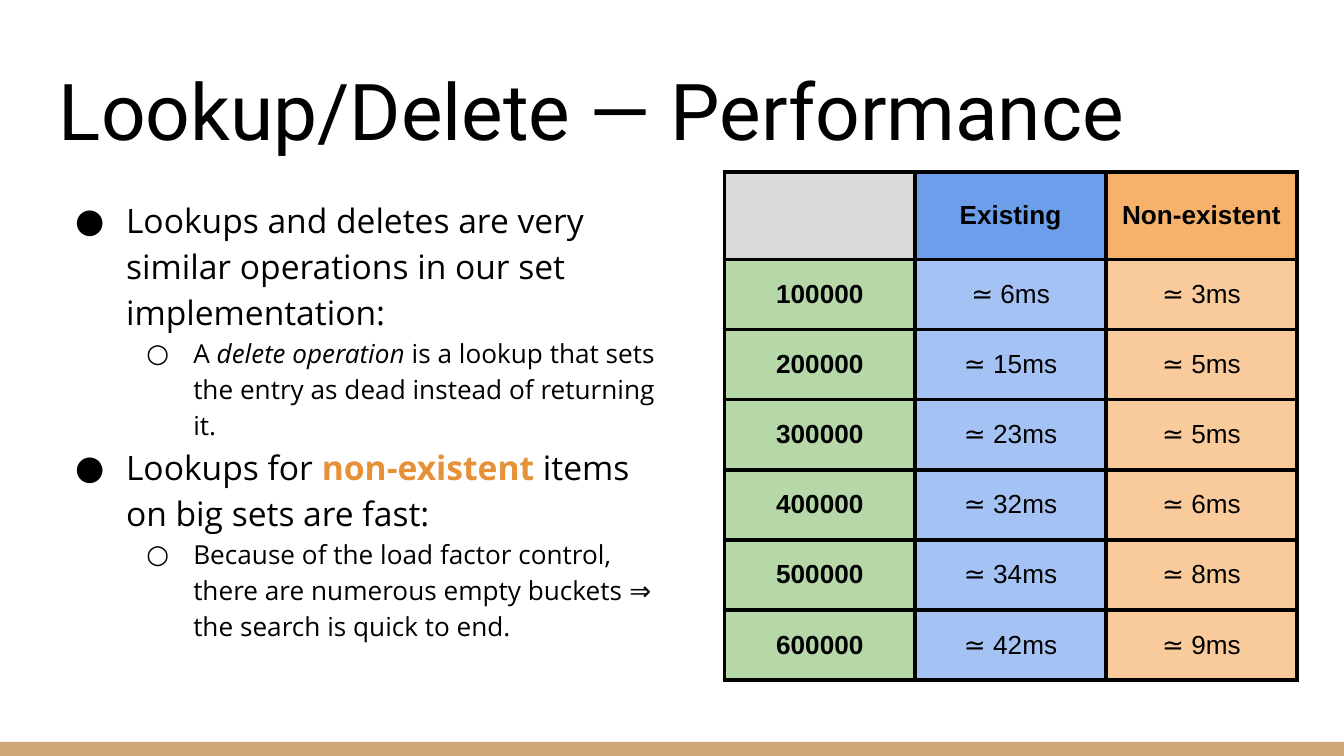
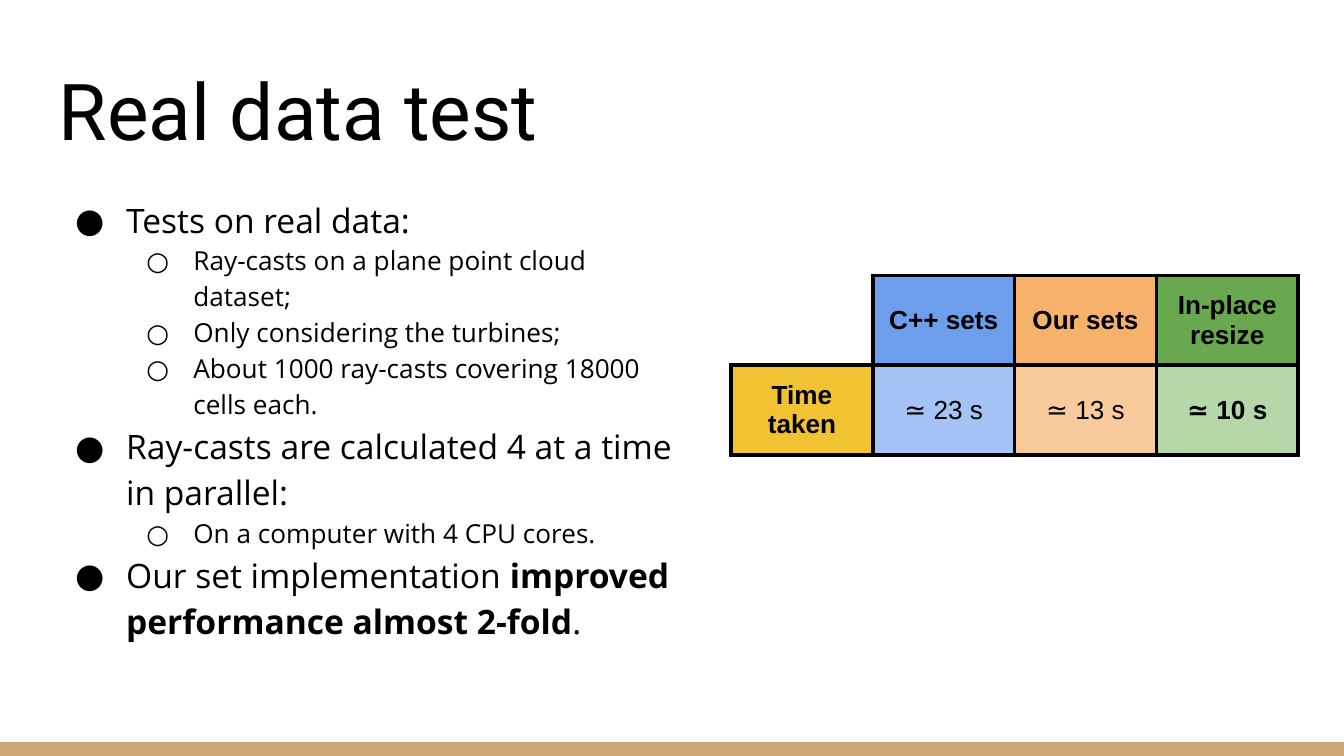
from lxml.etree import SubElement
from pptx import Presentation
from pptx.dml.color import RGBColor
from pptx.enum.shapes import MSO_SHAPE
from pptx.enum.text import MSO_ANCHOR, PP_ALIGN
from pptx.oxml.ns import qn
from pptx.util import Inches, Pt

COLORS = {
    "ink": "000000", "paper": "FFFFFF", "band": "CCA677", "accent": "E69138",
    "gray": "D9D9D9", "blue": "6D9EEB", "orange": "F6B26B", "green": "6AA84F",
    "yellow": "F1C232", "pale_blue": "A4C2F4", "pale_orange": "F9CB9C",
    "pale_green": "B6D7A8",
}
COLS, ROWS = 100, 56.25
LEVELS = [("●", 18, 0.5, -0.38), ("○", 14, 1, -0.35)]


def rgb(name):
    return RGBColor.from_string(COLORS[name])


def write(p, text, size=14, font="Arial", color="ink", bold=False, italic=False):
    r = p.add_run()
    r.text = text
    r.font.size = Pt(size)
    r.font.name = font
    r.font.color.rgb = rgb(color)
    r.font.bold = bold
    r.font.italic = italic


class Deck:
    def __init__(self):
        self.prs = Presentation()
        self.prs.slide_width = Inches(10)
        self.prs.slide_height = Inches(5.625)
        self.cell_w = self.prs.slide_width / COLS
        self.cell_h = self.prs.slide_height / ROWS

    def place(self, x, y, w, h):
        return (round(x * self.cell_w), round(y * self.cell_h),
                round(w * self.cell_w), round(h * self.cell_h))

    def slide(self, title):
        self.s = self.prs.slides.add_slide(self.prs.slide_layouts[6])
        self.s.background.fill.solid()
        self.s.background.fill.fore_color.rgb = rgb("paper")
        self.band()
        tf = self.text_box(3.4, 3.5, 93.2, 9.1, MSO_ANCHOR.BOTTOM)
        write(tf.paragraphs[0], title, size=42, font="Roboto")

    def band(self):
        sp = self.s.shapes.add_shape(MSO_SHAPE.RECTANGLE,
                                     *self.place(0, ROWS - 1.05, COLS, 1.05))
        sp.shadow.inherit = False
        sp.fill.solid()
        sp.fill.fore_color.rgb = rgb("band")
        sp.line.fill.background()

    def text_box(self, x, y, w, h, anchor=MSO_ANCHOR.TOP):
        tf = self.s.shapes.add_textbox(*self.place(x, y, w, h)).text_frame
        tf.word_wrap = True
        tf.vertical_anchor = anchor
        tf.margin_left = tf.margin_right = Inches(0.1)
        tf.margin_top = tf.margin_bottom = Inches(0.1)
        return tf

    def bullets(self, width, items):
        tf = self.text_box(3.4, 13.4, width, 36.7)
        for i, (level, *runs) in enumerate(items):
            p = tf.add_paragraph() if i else tf.paragraphs[0]
            char, size, margin, indent = LEVELS[level]
            p.level = level
            p.line_spacing = 1.15
            pPr = p._p.get_or_add_pPr()
            pPr.set("marL", str(Inches(margin)))
            pPr.set("indent", str(Inches(indent)))
            clr = SubElement(pPr, qn("a:buClr"))
            SubElement(clr, qn("a:srgbClr"), val=COLORS["ink"])
            SubElement(pPr, qn("a:buFont"), typeface="Open Sans")
            SubElement(pPr, qn("a:buChar"), char=char)
            for run in runs:
                text, fmt = (run, {}) if isinstance(run, str) else run
                write(p, text, size=size, font="Open Sans", **fmt)

    def border(self, cell, hidden=""):
        tcPr = cell._tc.get_or_add_tcPr()
        for side in "LRTB":
            ln = SubElement(tcPr, qn(f"a:ln{side}"), w=str(Pt(2.25)))
            fill = SubElement(ln, qn("a:solidFill"))
            color = "paper" if side in hidden else "ink"
            SubElement(fill, qn("a:srgbClr"), val=COLORS[color])

    def table(self, x, y, col_w, heights, rows, heads, fills, bold_cols, open_corner=False):
        n = len(heads)
        frame = self.s.shapes.add_table(
            len(rows), n, *self.place(x, y, col_w * n, sum(heights)))
        tbl = frame.table
        tbl.first_row = tbl.horz_banding = False
        for col in tbl.columns:
            col.width = round(col_w * self.cell_w)
        for i, row in enumerate(rows):
            tbl.rows[i].height = round(heights[i] * self.cell_h)
            for j, text in enumerate(row):
                cell = tbl.cell(i, j)
                self.border(cell, "LT" if open_corner and i == j == 0 else "")
                cell.fill.solid()
                cell.fill.fore_color.rgb = rgb(fills[j] if i else heads[j])
                cell.vertical_anchor = MSO_ANCHOR.MIDDLE
                cell.margin_left = cell.margin_right = Inches(0.1)
                cell.margin_top = cell.margin_bottom = Inches(0.1)
                if text:
                    p = cell.text_frame.paragraphs[0]
                    p.alignment = PP_ALIGN.CENTER
                    write(p, text, bold=i == 0 or j in bold_cols)


def lookup_slide(deck):
    deck.slide("Lookup/Delete — Performance")
    deck.bullets(47, [
        (0, "Lookups and deletes are very similar operations in our set implementation:"),
        (1, "A ", ("delete operation", {"italic": True}),
         " is a lookup that sets the entry as dead instead of returning it."),
        (0, "Lookups for ", ("non-existent", {"color": "accent", "bold": True}),
         " items on big sets are fast:"),
        (1, "Because of the load factor control, there are numerous empty buckets ⇒ "
            "the search is quick to end."),
    ])
    times = [(6, 3), (15, 5), (23, 5), (32, 6), (34, 8), (42, 9)]
    rows = [("", "Existing", "Non-existent")]
    rows += [(f"{k}00000", f"≃ {hit}ms", f"≃ {miss}ms")
             for k, (hit, miss) in enumerate(times, 1)]
    deck.table(53.9, 12.8, 14.2, [6.5] + [5.22] * len(times), rows,
               heads=["gray", "blue", "orange"],
               fills=["pale_green", "pale_blue", "pale_orange"], bold_cols={0})


def real_data_slide(deck):
    deck.slide("Real data test")
    deck.bullets(48.2, [
        (0, "Tests on real data:"),
        (1, "Ray-casts on a plane point cloud dataset;"),
        (1, "Only considering the turbines;"),
        (1, "About 1000 ray-casts covering 18000 cells each."),
        (0, "Ray-casts are calculated 4 at a time in parallel:"),
        (1, "On a computer with 4 CPU cores."),
        (0, "Our set implementation ",
         ("improved performance almost 2-fold", {"bold": True}), "."),
    ])
    deck.table(54.4, 20.5, 10.55, [6.67] * 2,
               [("", "C++ sets", "Our sets", "In-place resize"),
                ("Time taken", "≃ 23 s", "≃ 13 s", "≃ 10 s")],
               heads=["paper", "blue", "orange", "green"],
               fills=["yellow", "pale_blue", "pale_orange", "pale_green"],
               bold_cols={0, 3}, open_corner=True)


def main():
    deck = Deck()
    lookup_slide(deck)
    real_data_slide(deck)
    deck.prs.save("out.pptx")


if __name__ == "__main__":
    main()
